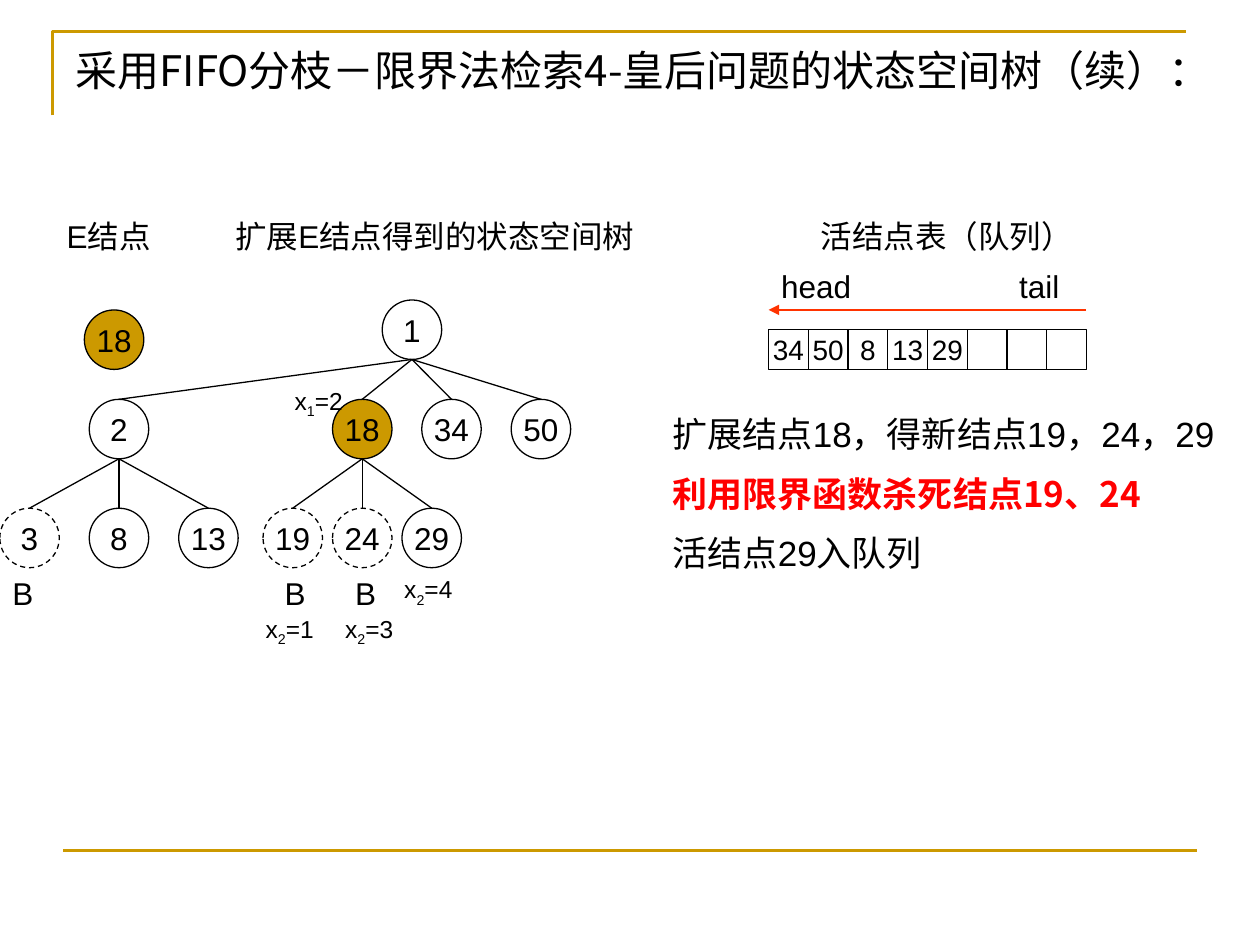
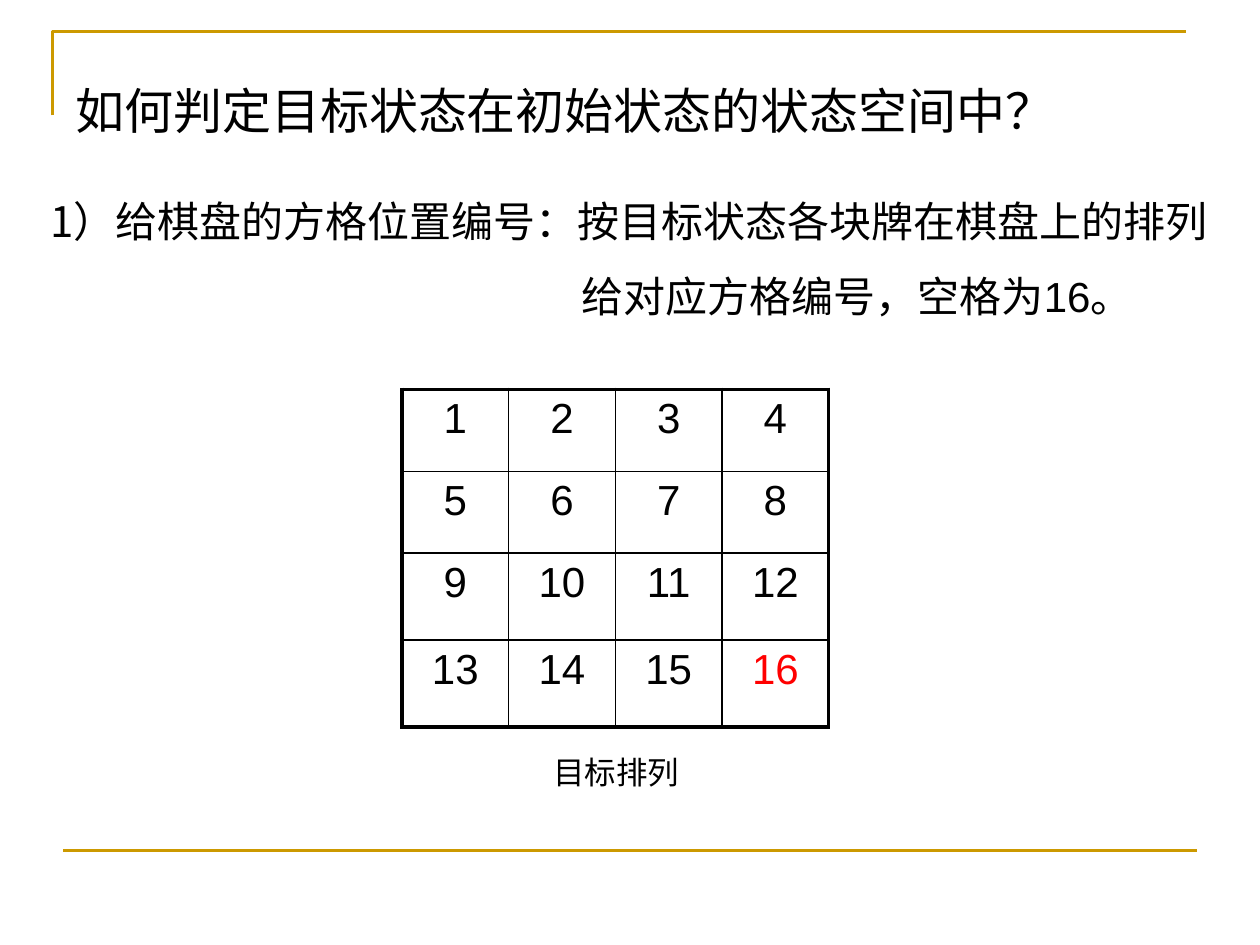
from pptx import Presentation
from pptx.dml.color import RGBColor
from pptx.enum.dml import MSO_LINE_DASH_STYLE as Dash
from pptx.enum.shapes import MSO_CONNECTOR as Conn, MSO_SHAPE as Kind
from pptx.enum.text import MSO_ANCHOR as Anchor, MSO_AUTO_SIZE as Auto, PP_ALIGN as Align
from pptx.oxml.ns import qn
from pptx.util import Pt
from lxml.etree import SubElement as Sub

GOLD = RGBColor(0xCC, 0x99, 0x00)
BLACK = RGBColor(0, 0, 0)
RED = RGBColor(0xFF, 0, 0)
FLAME = RGBColor(0xFF, 0x33, 0x00)
SANS, HAN = "Arial", "Noto Sans CJK SC"

TREE = {
    "title": "采用FIFO分枝－限界法检索4-皇后问题的状态空间树（续）：",
    "heads": [("E结点", 31, 120.2, 79), ("扩展E结点得到的状态空间树", 127.4, 120.2, 250),
              ("活结点表（队列）", 461.8, 120.2, 170),
              ("head", 439.2, 149, 68), ("tail", 575.3, 149, 68)],
    "root": ("1", 235.4),
    "kids": [("2", 68), ("18", 207), ("34", 258), ("50", 309.1)],
    "leaves": {"2": (51.1, ["3", "8", "13"]), "18": (39.7, ["19", "24", "29"])},
    "dead": ["3", "19", "24"],
    "marks": [("B", 0, 324.7), ("B", 155.5, 324.7), ("B", 195.8, 324.7)],
    "vars": [("1", "=2", 161.3, 217), ("2", "=1", 144.7, 347.3),
             ("2", "=3", 190.1, 347.3), ("2", "=4", 223.9, 324.7)],
    "queue": ["34", "50", "8", "13", "29", "", "", ""],
    "notes": [("扩展结点18，得新结点19，24，29", {}),
              ("利用限界函数杀死结点19、24", {"font": HAN, "color": RED, "bold": True}),
              ("活结点29入队列", {})],
}
BOARD = {
    "title": "如何判定目标状态在初始状态的状态空间中？",
    "rule": [("1）给棋盘的方格位置编号", HAN),
             ("：按目标状态各块牌在棋盘上的排列给对应方格编号，空格为16。", SANS)],
    "rows": [46.8, 46.8, 49.7, 49.7],
    "col": 61,
    "label": "目标排列",
}
DIAM = 34
LEVELS = [171.4, 228.2, 290.4]
CELL = 22.7


def put(par, text, size=18, font=SANS, color=BLACK, bold=False, base=0):
    run = par.add_run()
    run.text = text
    face = run.font
    face.size, face.name, face.bold = Pt(size), font, bold
    face.color.rgb = color
    props = run._r.get_or_add_rPr()
    Sub(props, qn("a:ea")).set("typeface", HAN)
    if base:
        props.set("baseline", str(base * 1000))


def box(slide, x, y, w, h):
    frame = slide.shapes.add_textbox(Pt(x), Pt(y), Pt(w), Pt(h)).text_frame
    frame.word_wrap = True
    return frame.paragraphs[0]


def line(slide, start, end, color=BLACK, width=0.75, arrow=False):
    link = slide.shapes.add_connector(Conn.STRAIGHT, *map(Pt, (*start, *end)))
    link.line.color.rgb = color
    link.line.width = Pt(width)
    if arrow:
        Sub(link.line._get_or_add_ln(), qn("a:tailEnd")).set("type", "triangle")
    Sub(link._element.spPr, qn("a:effectLst"))


def shape(slide, kind, x, y, w, h, text, size, fill=None, dash=False):
    part = slide.shapes.add_shape(kind, Pt(x), Pt(y), Pt(w), Pt(h))
    part.shadow.inherit = False
    if fill:
        part.fill.solid()
        part.fill.fore_color.rgb = fill
    else:
        part.fill.background()
    part.line.color.rgb = BLACK
    part.line.width = Pt(0.75)
    if dash:
        part.line.dash_style = Dash.DASH
    if text:
        frame = part.text_frame
        frame.word_wrap = False
        frame.vertical_anchor = Anchor.MIDDLE
        frame.paragraphs[0].alignment = Align.CENTER
        put(frame.paragraphs[0], text, size)


def page(deck, text, size, y, w, h):
    slide = deck.slides.add_slide(deck.slide_layouts[5])
    pen = slide.shapes.build_freeform(Pt(30), Pt(66))
    pen.add_line_segments([(Pt(30), Pt(18)), (Pt(678), Pt(18))], close=False)
    edge = pen.convert_to_shape()
    edge.shadow.inherit = False
    edge.fill.background()
    edge.line.color.rgb = GOLD
    edge.line.width = Pt(1.5)
    line(slide, (36, 486), (684, 486), GOLD, 1.5)
    title = slide.shapes.title
    title.left, title.top, title.width, title.height = map(Pt, (36, y, w, h))
    frame = title.text_frame
    frame.auto_size = Auto.NONE
    frame.word_wrap = True
    frame.vertical_anchor = Anchor.TOP
    frame.paragraphs[0].alignment = Align.LEFT
    put(frame.paragraphs[0], text, size, HAN)
    return slide


def node(slide, text, mid, level):
    shape(slide, Kind.OVAL, mid - DIAM / 2, LEVELS[level], DIAM, DIAM, text, 18,
          GOLD if text == "18" else None, text in TREE["dead"])


def branch(slide, top, kids, level):
    for text, mid in kids:
        line(slide, (top, LEVELS[level - 1] + DIAM), (mid, LEVELS[level]))
        node(slide, text, mid, level)


def draw_tree(deck):
    slide = page(deck, TREE["title"], 24, 21.6, 669.6, 43.9)
    for text, x, y, w in TREE["heads"]:
        put(box(slide, x, y, w, 29), text)
    shape(slide, Kind.OVAL, 48.2, 177.1, DIAM, DIAM, "18", 18, GOLD)
    name, top = TREE["root"]
    node(slide, name, top, 0)
    branch(slide, top, TREE["kids"], 1)
    for name, mid in TREE["kids"]:
        gap, names = TREE["leaves"].get(name, (0, []))
        branch(slide, mid, [(n, mid + gap * (i - 1)) for i, n in enumerate(names)], 2)
    for text, x, y in TREE["marks"]:
        put(box(slide, x, y, 51, 29), text)
    for sub, value, x, y in TREE["vars"]:
        par = box(slide, x, y, 57, 24)
        put(par, "x", 14)
        put(par, sub, 14, base=-25)
        put(par, value, 14)
    for i, text in enumerate(TREE["queue"]):
        shape(slide, Kind.RECTANGLE, 439.2 + i * CELL, 188.4, CELL, 22.7, text, 16)
    line(slide, (620.6, 177.1), (439.2, 177.1), FLAME, arrow=True)
    par = box(slide, 377.3, 232.3, 329, 104.4)
    frame = par._parent
    for i, (text, look) in enumerate(TREE["notes"]):
        if i:
            par = frame.add_paragraph()
            par.space_before = Pt(10)
        put(par, text, 20, **look)


def border(cell, row, col, last):
    props = cell._tc.get_or_add_tcPr()
    outer = {"L": col == 0, "R": col == last, "T": row == 0, "B": row == last}
    for side, thick in outer.items():
        rule = Sub(props, qn("a:ln" + side), w=str(Pt(2.25 if thick else 1)))
        Sub(Sub(rule, qn("a:solidFill")), qn("a:srgbClr"), val=str(BLACK))


def draw_board(deck):
    slide = page(deck, BOARD["title"], 28, 42.5, 648, 49.7)
    par = box(slide, 21.6, 93.6, 677.5, 92.9)
    par.line_spacing = 1.5
    props = par._p.get_or_add_pPr()
    props.set("marL", str(Pt(303.8)))
    props.set("indent", str(-Pt(303.8)))
    for text, font in BOARD["rule"]:
        put(par, text, 24, font)
    rows, count = BOARD["rows"], len(BOARD["rows"])
    grid = slide.shapes.add_table(count, count, Pt(229.7), Pt(222.5),
                                  Pt(BOARD["col"] * count), Pt(sum(rows))).table
    grid.first_row = grid.horz_banding = False
    for r, high in enumerate(rows):
        grid.rows[r].height = Pt(high)
        grid.columns[r].width = Pt(BOARD["col"])
        for c in range(count):
            cell = grid.cell(r, c)
            border(cell, r, c, count - 1)
            cell.fill.background()
            num = r * count + c + 1
            par = cell.text_frame.paragraphs[0]
            par.alignment = Align.CENTER
            put(par, str(num), 24, color=RED if num == count ** 2 else BLACK)
    put(box(slide, 309.1, 427, 175.7, 29), BOARD["label"])


def main():
    deck = Presentation()
    deck.slide_width, deck.slide_height = Pt(720), Pt(540)
    draw_tree(deck)
    draw_board(deck)
    deck.save("out.pptx")


if __name__ == "__main__":
    main()
